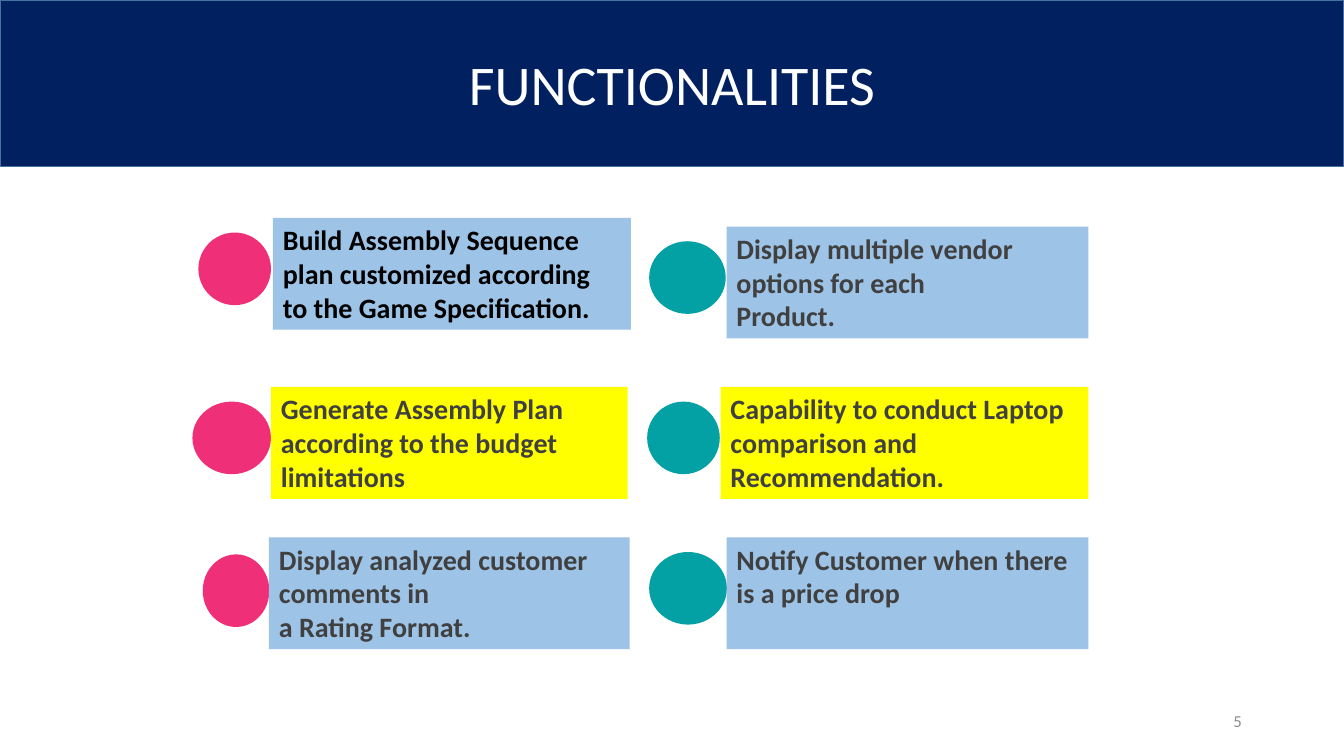
from dataclasses import dataclass

from pptx import Presentation
from pptx.dml.color import RGBColor
from pptx.enum.shapes import MSO_SHAPE
from pptx.enum.text import MSO_ANCHOR, PP_ALIGN
from pptx.util import Cm, Pt

RECT, OVAL = MSO_SHAPE.RECTANGLE, MSO_SHAPE.OVAL
TOP, MIDDLE = MSO_ANCHOR.TOP, MSO_ANCHOR.MIDDLE
LEFT, CENTER, RIGHT = PP_ALIGN.LEFT, PP_ALIGN.CENTER, PP_ALIGN.RIGHT

NAVY = RGBColor(0x00, 0x20, 0x60)
EDGE = RGBColor(0x43, 0x73, 0x9E)
WHITE = RGBColor(0xFF, 0xFF, 0xFF)
BLACK = RGBColor(0x00, 0x00, 0x00)
DARK = RGBColor(0x40, 0x40, 0x40)
GRAY = RGBColor(0x8C, 0x8C, 0x8C)
PINK = RGBColor(0xEF, 0x30, 0x78)
TEAL = RGBColor(0x03, 0xA1, 0xA4)
BLUE = RGBColor(0x9D, 0xC3, 0xE6)
YELLOW = RGBColor(0xFF, 0xFF, 0x00)

FONT = "Calibri"
WIDTH, HEIGHT = 33.87, 19.05
DOT_HIGH, BOX_HIGH = 1.83, 2.82


@dataclass
class Feature:
    """A dot and its text box; lengths in centimetres."""
    text: str
    dot_left: float
    dot_width: float
    left: float
    top: float
    width: float
    dot_color: RGBColor
    fill: RGBColor = BLUE
    ink: RGBColor = DARK
    drop: float = 0.37


FEATURES = [
    Feature("Build Assembly Sequence plan customized according to the Game Specification.",
            5.0, 1.83, 6.88, 5.49, 9.02, PINK, ink=BLACK),
    Feature("Display multiple vendor options for each\nProduct.",
            16.36, 1.93, 18.31, 5.71, 9.12, TEAL),
    Feature("Notify Customer when there is a price drop",
            16.36, 1.96, 18.31, 13.54, 9.12, TEAL),
    Feature("Capability to conduct Laptop comparison and Recommendation.",
            16.31, 1.83, 18.16, 9.75, 9.27, TEAL, YELLOW),
    Feature("Generate Assembly Plan according to the budget limitations",
            4.85, 1.98, 6.83, 9.75, 8.99, PINK, YELLOW),
    Feature("Display analyzed customer comments in\na Rating Format.",
            5.11, 1.68, 6.78, 13.54, 9.09, PINK, drop=0.43),
]


def write(shape, text: str, size: int, ink: RGBColor, align, anchor,
          bold: bool = False) -> None:
    frame = shape.text_frame
    frame.text = text
    frame.word_wrap = True
    frame.vertical_anchor = anchor
    for para in frame.paragraphs:
        para.alignment = align
        para.font.name = FONT
        para.font.size = Pt(size)
        para.font.bold = bold
        para.font.color.rgb = ink


def add_flat(group, kind, left: float, top: float, width: float,
             height: float, fill: RGBColor):
    shape = group.shapes.add_shape(kind, Cm(left), Cm(top), Cm(width), Cm(height))
    shape.shadow.inherit = False
    shape.fill.solid()
    shape.fill.fore_color.rgb = fill
    shape.line.fill.background()
    return shape


def add_feature(slide, item: Feature) -> None:
    group = slide.shapes.add_group_shape()
    add_flat(group, OVAL, item.dot_left, item.top + item.drop,
             item.dot_width, DOT_HIGH, item.dot_color)
    box = add_flat(group, RECT, item.left, item.top, item.width, BOX_HIGH, item.fill)
    write(box, item.text, 20, item.ink, LEFT, TOP, bold=True)


def add_title(slide, text: str) -> None:
    title = slide.shapes.title
    title.left, title.top = Cm(0), Cm(0)
    title.width, title.height = Cm(WIDTH), Cm(4.19)
    title.fill.solid()
    title.fill.fore_color.rgb = NAVY
    title.line.color.rgb = EDGE
    title.line.width = Pt(1)
    write(title, text, 40, WHITE, CENTER, MIDDLE)


def main() -> None:
    deck = Presentation()
    deck.slide_width, deck.slide_height = Cm(WIDTH), Cm(HEIGHT)
    slide = deck.slides.add_slide(deck.slide_layouts[5])

    # Title band
    add_title(slide, "FUNCTIONALITIES")

    # Page number
    page = slide.shapes.add_textbox(Cm(23.93), Cm(17.65), Cm(7.62), Cm(1.02))
    write(page, "5", 12, GRAY, RIGHT, MIDDLE)

    # Features
    for item in FEATURES:
        add_feature(slide, item)

    deck.save("out.pptx")


if __name__ == "__main__":
    main()
